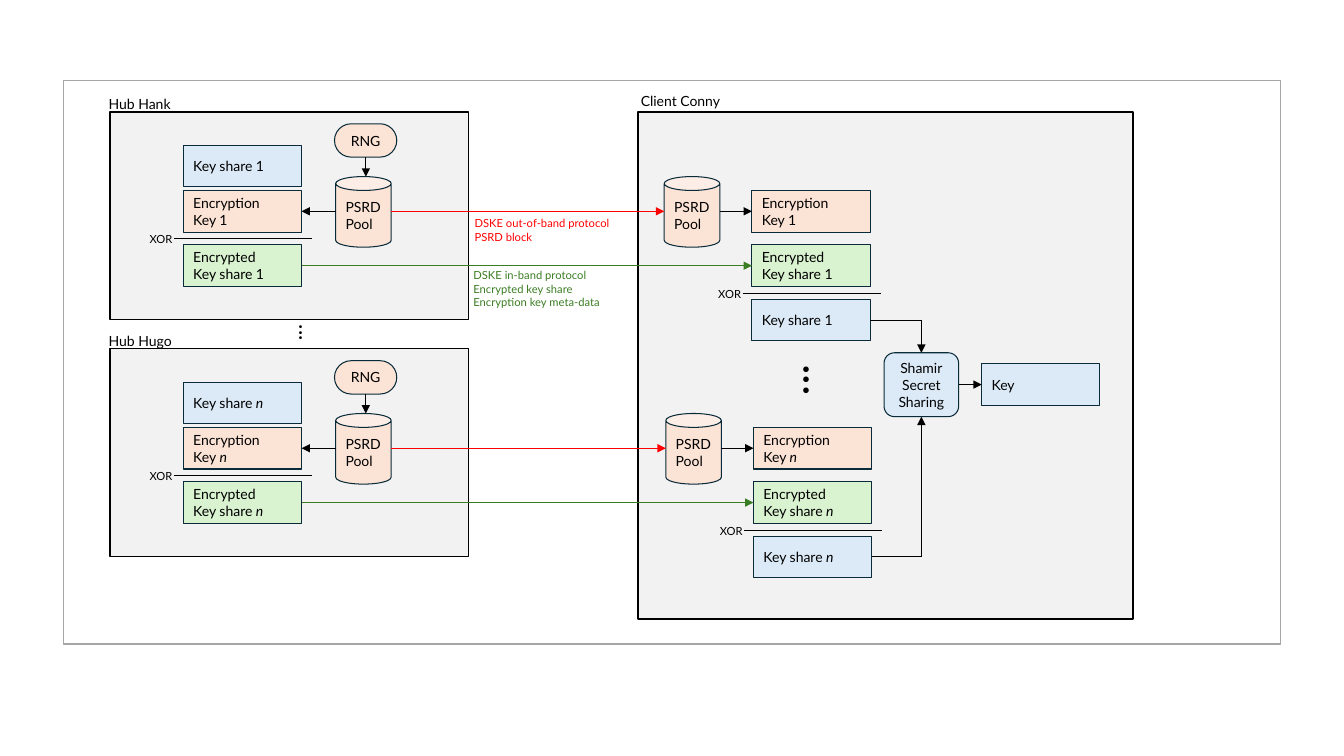
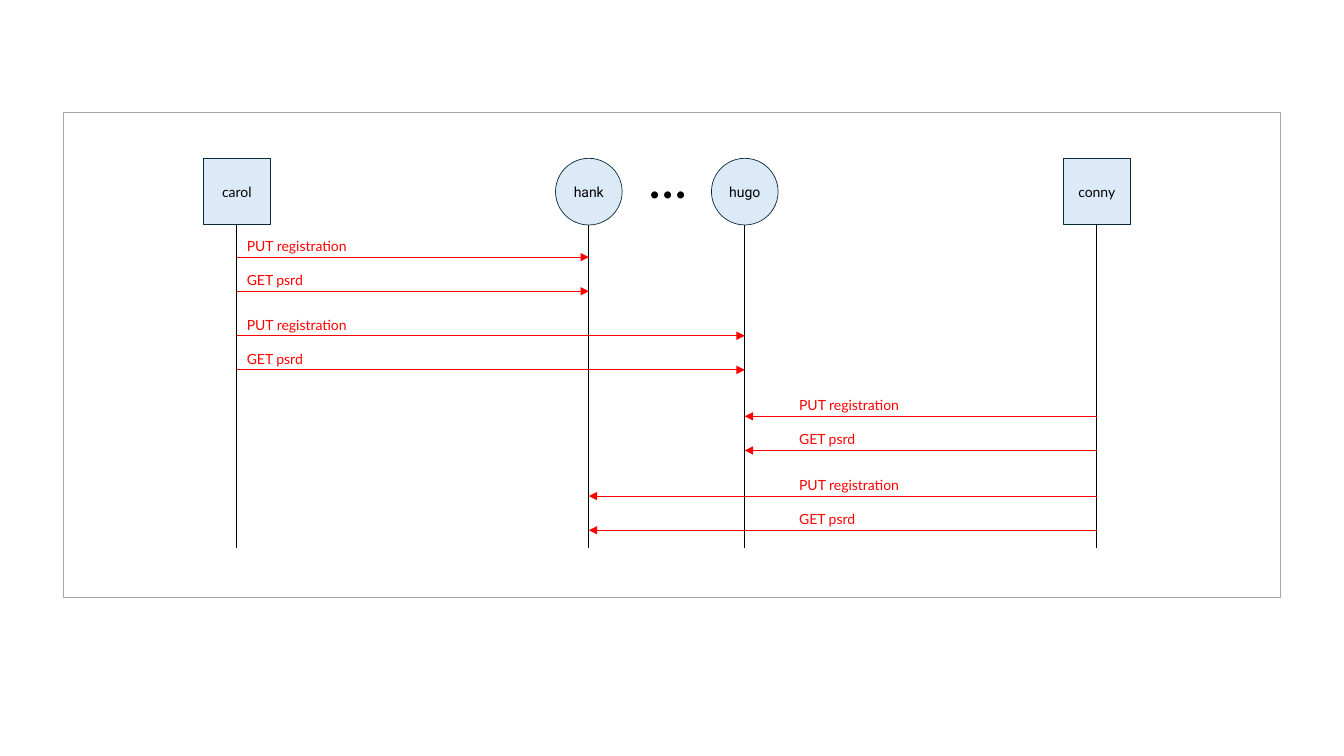
"""Build two slides on key distribution: the key flow and the registration sequence."""
from lxml import etree
from pptx import Presentation
from pptx.dml.color import RGBColor
from pptx.enum.shapes import MSO_CONNECTOR, MSO_SHAPE
from pptx.enum.text import MSO_ANCHOR, PP_ALIGN
from pptx.oxml.ns import qn
from pptx.util import Cm, Pt

RECTANGLE = MSO_SHAPE.RECTANGLE
ROUNDED = MSO_SHAPE.ROUNDED_RECTANGLE
CAN = MSO_SHAPE.CAN
OVAL = MSO_SHAPE.OVAL
STRAIGHT = MSO_CONNECTOR.STRAIGHT
MIDDLE = MSO_ANCHOR.MIDDLE
LEFT, CENTER, RIGHT = PP_ALIGN.LEFT, PP_ALIGN.CENTER, PP_ALIGN.RIGHT

BLACK = RGBColor(0x00, 0x00, 0x00)
RED = RGBColor(0xFF, 0x00, 0x00)
GREEN = RGBColor(0x3B, 0x7D, 0x23)
OUTLINE = RGBColor(0x09, 0x2A, 0x39)
FRAME_GREY = RGBColor(0xA6, 0xA6, 0xA6)
PANEL_GREY = RGBColor(0xF2, 0xF2, 0xF2)
PALE_BLUE = RGBColor(0xDC, 0xEA, 0xF7)
PALE_GREEN = RGBColor(0xD9, 0xF2, 0xD0)
PALE_ORANGE = RGBColor(0xFB, 0xE3, 0xD6)

BOX_WIDTH, BOX_HEIGHT, BOX_PITCH = 2.98, 1.05, 1.37
CAN_WIDTH, CAN_HEIGHT = 1.4, 1.78
HUB_PITCH = 5.97
HUB_LEFT, HUB_TOP = 2.77, 2.82
SHAMIR_X, SHAMIR_TOP, SHAMIR_HEIGHT = 23.22, 8.89, 1.61
NODE_SIZE, NODE_TOP, LIFELINE_END = 1.68, 3.99, 13.82
MESSAGE_WIDTH, MESSAGE_PITCH = 7.75, 0.86


def apply_format(target, values):
    """Set each named attribute of the target."""
    for name, value in values.items():
        setattr(target, name, value)


def write_text(shape, lines, size=10, color=BLACK, align=LEFT, font="Lato", wrap=True):
    """Write one paragraph per line; parts between asterisks are italic."""
    frame = shape.text_frame
    apply_format(frame, {"word_wrap": wrap, "vertical_anchor": MIDDLE})
    for index, line in enumerate(lines):
        paragraph = frame.add_paragraph() if index else frame.paragraphs[0]
        paragraph.alignment = align
        for position, part in enumerate(line.split("*")):
            if part:
                run = paragraph.add_run()
                run.text = part
                apply_format(run.font, {"name": font, "size": Pt(size)})
                run.font.color.rgb = color
                if position % 2:
                    run.font.italic = True


def add_label(slide, left, top, width, height, lines, **style):
    """Add a text box."""
    box = slide.shapes.add_textbox(Cm(left), Cm(top), Cm(width), Cm(height))
    write_text(box, lines, **style)
    return box


def add_block(slide, kind, left, top, width, height, fill=None,
              line=OUTLINE, weight=0.75, lines=(), **style):
    """Add an outlined preset shape with optional fill and text."""
    shape = slide.shapes.add_shape(kind, Cm(left), Cm(top), Cm(width), Cm(height))
    shape.shadow.inherit = False
    if fill is None:
        shape.fill.background()
    else:
        shape.fill.solid()
        shape.fill.fore_color.rgb = fill
    shape.line.color.rgb = line
    shape.line.width = Pt(weight)
    if lines:
        write_text(shape, lines, **style)
    return shape


def add_line(slide, start, end, color=BLACK, arrow=True):
    """Add a straight line, with an arrowhead at its end by default."""
    points = [Cm(value) for value in (*start, *end)]
    connector = slide.shapes.add_connector(STRAIGHT, *points)
    connector.line.color.rgb = color
    connector.line.width = Pt(0.75)
    if arrow:
        etree.SubElement(connector.get_or_add_ln(), qn("a:tailEnd"), type="triangle")
    etree.SubElement(connector._element.spPr, qn("a:effectLst"))


def add_frame(slide, top, height):
    """Add the thin grey frame around a diagram."""
    add_block(slide, RECTANGLE, 1.6, top, 30.68, height, line=FRAME_GREY)


def add_panel(slide, left, top, width, height):
    """Add the grey panel of a hub or client."""
    add_block(slide, RECTANGLE, left, top, width, height, PANEL_GREY, BLACK, 1)


def add_key_box(slide, left, top, fill, *lines):
    """Add a box that names a key."""
    add_block(slide, RECTANGLE, left, top, BOX_WIDTH, BOX_HEIGHT, fill, lines=lines)


def add_key_stack(slide, left, share_top, encryption_top, sum_top, suffix):
    """Add the three key boxes with the XOR rule above the result."""
    encrypted_top = encryption_top + BOX_PITCH
    add_key_box(slide, left, share_top, PALE_BLUE, f"Key share {suffix}")
    add_key_box(slide, left, encryption_top, PALE_ORANGE, "Encryption", f"Key {suffix}")
    add_key_box(slide, left, encrypted_top, PALE_GREEN, "Encrypted", f"Key share {suffix}")
    rule = sum_top - 0.15
    add_line(slide, (left - 0.23, rule), (left + 3.25, rule), arrow=False)
    add_label(slide, left - 1.42, rule - 0.51, 1.4, 1.04, ["XOR"], size=8, align=RIGHT)


def add_pool(slide, left, top):
    """Add a PSRD pool cylinder."""
    add_block(slide, CAN, left, top, CAN_WIDTH, CAN_HEIGHT, PALE_ORANGE,
              lines=["PSRD", "Pool"], wrap=False)


def add_dots(slide, left, top, size):
    """Add a vertical ellipsis."""
    dots = add_label(slide, left, top, 1.88, 1.04, ["..."], size=size)
    dots.rotation = 90


def add_exchange(slide, index, name, suffix):
    """Add one hub, its client side and the two protocol arrows."""
    offset = index * HUB_PITCH
    hub_box, hub_can = 4.62, 8.46
    client_box, client_can = 18.95 + 0.04 * index, 16.74 + 0.04 * index
    can_top = 4.45 + offset
    encryption_top = 4.8 + offset
    encrypted_top = encryption_top + BOX_PITCH
    share_top = encrypted_top + BOX_PITCH
    key_y = encryption_top + BOX_HEIGHT / 2
    encrypted_y = key_y + BOX_PITCH
    share_y = encrypted_y + BOX_PITCH

    add_panel(slide, HUB_LEFT, HUB_TOP + offset, 9.04, 5.23)
    add_label(slide, 2.49, 2.11 + offset, 3.89, 1.04, [f"Hub {name}"])
    add_key_stack(slide, hub_box, 3.66 + offset, encryption_top, encrypted_top, suffix)
    add_key_stack(slide, client_box, share_top, encryption_top, share_top, suffix)
    add_pool(slide, hub_can, can_top)
    add_pool(slide, client_can, can_top)
    rng = add_block(slide, ROUNDED, 8.43, 3.12 + offset, 1.57, 0.84, PALE_ORANGE,
                    lines=["RNG"], align=CENTER)
    rng.adjustments[0] = 0.5

    add_line(slide, (9.22, 3.96 + offset), (9.22, can_top))
    add_line(slide, (hub_can, key_y), (hub_box + BOX_WIDTH, key_y))
    add_line(slide, (client_can + CAN_WIDTH, key_y), (client_box, key_y))
    add_line(slide, (hub_can + CAN_WIDTH, key_y), (client_can, key_y), RED)
    add_line(slide, (hub_box + BOX_WIDTH, encrypted_y), (client_box, encrypted_y), GREEN)
    shamir_y = SHAMIR_TOP + index * SHAMIR_HEIGHT
    add_line(slide, (client_box + BOX_WIDTH, share_y), (SHAMIR_X, share_y), arrow=False)
    add_line(slide, (SHAMIR_X, share_y), (SHAMIR_X, shamir_y))


def build_key_flow(slide):
    """Draw the key shares going from the hubs to the client."""
    add_panel(slide, 16.08, HUB_TOP, 12.47, 12.78)
    add_label(slide, 15.9, 2.03, 3.89, 1.04, ["Client Conny"])
    for index, (name, suffix) in enumerate([("Hank", "1"), ("Hugo", "*n*")]):
        add_exchange(slide, index, name, suffix)
    shamir = add_block(slide, ROUNDED, 22.28, SHAMIR_TOP, 1.88, SHAMIR_HEIGHT, PALE_BLUE,
                       lines=["Shamir", "Secret", "Sharing"], align=CENTER)
    shamir.adjustments[0] = 0.163
    add_key_box(slide, 24.74, 9.17, PALE_BLUE, "Key")
    add_line(slide, (24.16, 9.69), (24.74, 9.69))
    add_dots(slide, 19.76, 9.35, 32)
    add_dots(slide, 6.83, 8.36, 16)
    add_label(slide, 11.71, 5.28, 6.38, 1.04,
              ["DSKE out-of-band protocol", "PSRD block"], size=8, color=RED)
    add_label(slide, 11.68, 6.76, 6.38, 1.04,
              ["DSKE in-band protocol", "Encrypted key share", "Encryption key meta-data"],
              size=8, color=GREEN)
    add_frame(slide, 2.03, 14.2)


def add_node(slide, name, center, is_hub):
    """Add a participant with its lifeline."""
    kind, weight, font = (OVAL, 0.5, "Roboto") if is_hub else (RECTANGLE, 0.75, "Lato")
    node = add_block(slide, kind, center - NODE_SIZE / 2, NODE_TOP, NODE_SIZE, NODE_SIZE,
                     PALE_BLUE, weight=weight, lines=[name], align=CENTER, font=font)
    if is_hub:
        apply_format(node.text_frame, {"margin_left": 0, "margin_right": 0,
                                       "margin_top": 0, "margin_bottom": 0})
    add_line(slide, (center, NODE_TOP + NODE_SIZE), (center, LIFELINE_END), arrow=False)


def add_requests(slide, client, hub, top):
    """Add the two requests that a client sends to a hub."""
    label_left = client if client < hub else client - MESSAGE_WIDTH
    for index, text in enumerate(["PUT registration", "GET psrd"]):
        y = top + index * MESSAGE_PITCH
        add_line(slide, (client, y), (hub, y), RED)
        add_label(slide, label_left, y - 0.7, MESSAGE_WIDTH, 0.84, [text], color=RED)


def build_sequence(slide):
    """Draw the clients registering with the hubs."""
    centers = {"carol": 5.97, "hank": 14.84, "hugo": 18.77, "conny": 27.64}
    for name, center in centers.items():
        add_node(slide, name, center, name in ("hank", "hugo"))
    add_frame(slide, 2.84, 12.22)
    add_label(slide, 15.16, 3.61, 3.35, 1.68, ["..."], size=40, align=CENTER)
    requests = [("carol", "hank", 6.48), ("carol", "hugo", 8.46),
                ("conny", "hugo", 10.49), ("conny", "hank", 12.5)]
    for client, hub, top in requests:
        add_requests(slide, centers[client], centers[hub], top)


def main():
    """Build and save the presentation."""
    presentation = Presentation()
    apply_format(presentation, {"slide_width": Cm(33.87), "slide_height": Cm(19.05)})
    blank = presentation.slide_layouts[6]
    for build in (build_key_flow, build_sequence):
        build(presentation.slides.add_slide(blank))
    presentation.save("out.pptx")


if __name__ == "__main__":
    main()
